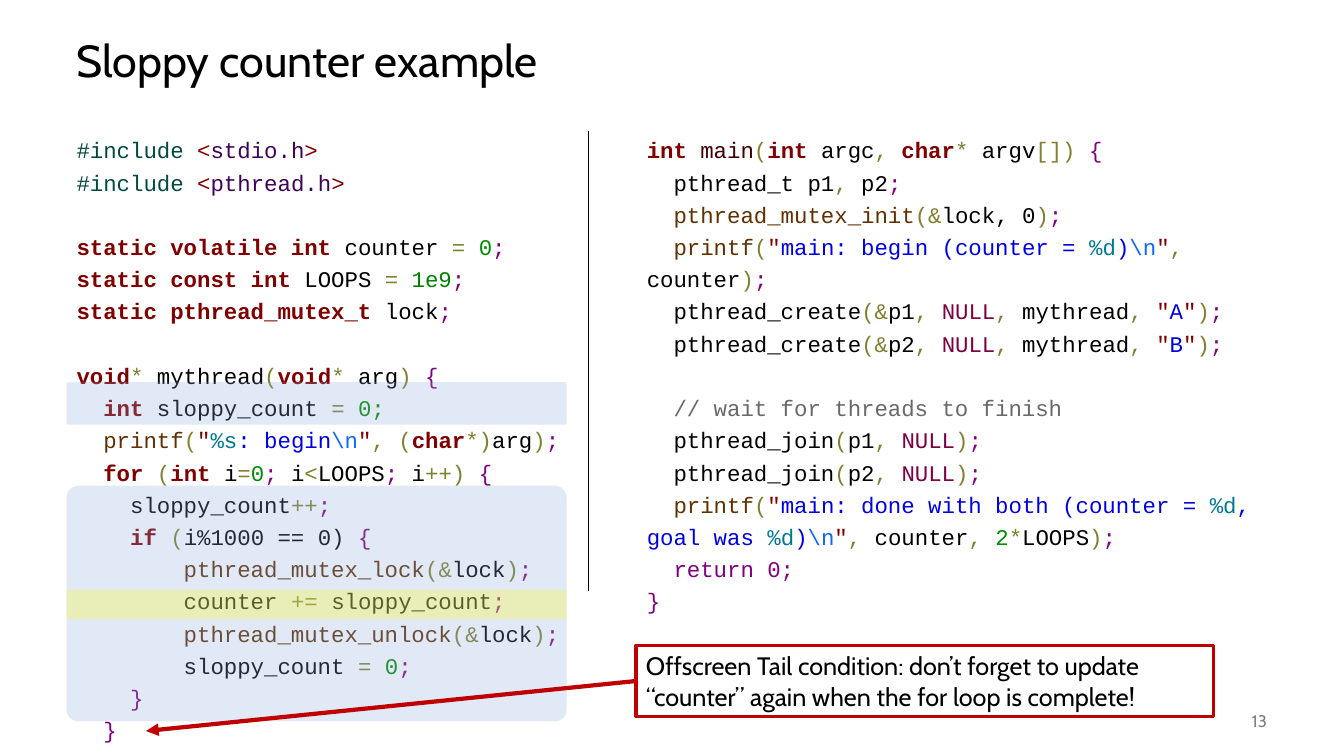
from lxml import etree
from pptx import Presentation
from pptx.dml.color import RGBColor
from pptx.enum.shapes import MSO_CONNECTOR, MSO_SHAPE
from pptx.enum.text import MSO_ANCHOR, PP_ALIGN
from pptx.oxml.ns import qn
from pptx.util import Cm, Pt

STRAIGHT = MSO_CONNECTOR.STRAIGHT
RECTANGLE, ROUNDED = MSO_SHAPE.RECTANGLE, MSO_SHAPE.ROUNDED_RECTANGLE
TOP, MIDDLE = MSO_ANCHOR.TOP, MSO_ANCHOR.MIDDLE
LEFT, RIGHT = PP_ALIGN.LEFT, PP_ALIGN.RIGHT

MAROON = RGBColor(0x80, 0x00, 0x00)
BLACK = RGBColor(0x00, 0x00, 0x00)
GRAY = RGBColor(0x80, 0x80, 0x80)
RED = RGBColor(0xC0, 0x00, 0x00)
WHITE = RGBColor(0xFF, 0xFF, 0xFF)
BLUE = RGBColor(0x8F, 0xAA, 0xDC)
YELLOW = RGBColor(0xFF, 0xFC, 0x00)

KEYWORD = (MAROON, True)
DELIMITER = (MAROON, False)
NAME = (BLACK, False)
DIRECTIVE = (RGBColor(0x00, 0x4A, 0x43), False)
HEADER = (RGBColor(0x40, 0x01, 0x5A), False)
OPERATOR = (RGBColor(0x80, 0x80, 0x30), False)
NUMBER = (RGBColor(0x00, 0x8C, 0x00), False)
EXPONENT = (RGBColor(0x00, 0x80, 0x00), False)
PUNCTUATION = (RGBColor(0x80, 0x00, 0x80), False)
LIBRARY = (RGBColor(0x60, 0x30, 0x00), False)
ENTRY = (RGBColor(0x40, 0x00, 0x00), False)
FORMAT = (RGBColor(0x00, 0x79, 0x97), False)
STRING = (RGBColor(0x00, 0x00, 0xE6), False)
ESCAPE = (RGBColor(0x0F, 0x69, 0xFF), False)
MACRO = (RGBColor(0x7D, 0x00, 0x45), False)
COMMENT = (RGBColor(0x69, 0x69, 0x69), False)

SEMICOLON = (";", PUNCTUATION)
BRACE = ("{", PUNCTUATION)
QUOTE = ('"', DELIMITER)
OPEN, CLOSE = ("(", OPERATOR), (")", OPERATOR)
COMMA = (", ", OPERATOR)
EQUALS = ("= ", OPERATOR)
NULL = ("NULL", MACRO)
NEWLINE = ("\\n", ESCAPE)
DECIMAL = ("%d", FORMAT)
INT = ("int ", KEYWORD)
VOID = [("void", KEYWORD), ("* ", OPERATOR)]
END = [CLOSE, SEMICOLON]


def include(header):
    return [("#include ", DIRECTIVE), ("<", DELIMITER), (header, HEADER), (">", DELIMITER)]


def mutex_call(indent, function, argument):
    return [(indent + function, LIBRARY), ("(&", OPERATOR), (argument, NAME), *END]


def create(thread, label):
    return [("  pthread_create", NAME), ("(&", OPERATOR), (thread, NAME), COMMA, NULL, COMMA,
            ("mythread", NAME), COMMA, QUOTE, (label, STRING), QUOTE, *END]


def join(thread):
    return [("  pthread_join", NAME), OPEN, (thread, NAME), COMMA, NULL, *END]


THREAD_CODE = [
    [include("stdio.h"), include("pthread.h")],
    [
        [("static volatile int", KEYWORD), (" counter ", NAME), EQUALS, ("0", NUMBER), SEMICOLON],
        [("static const int", KEYWORD), (" LOOPS ", NAME), EQUALS, ("1e9", EXPONENT), SEMICOLON],
        [("static pthread_mutex_t", KEYWORD), (" lock", NAME), SEMICOLON],
    ],
    [
        [*VOID, ("mythread", NAME), OPEN, *VOID, ("arg", NAME), (") ", OPERATOR), BRACE],
        [("  int ", KEYWORD), ("sloppy_count ", NAME), EQUALS, ("0;", NUMBER)],
        [("  printf", LIBRARY), OPEN, QUOTE, ("%s", FORMAT), (": begin", STRING), NEWLINE, QUOTE,
         (", (", OPERATOR), ("char", KEYWORD), ("*)", OPERATOR), ("arg", NAME), *END],
        [("  for ", KEYWORD), OPEN, INT, ("i", NAME), ("=", OPERATOR), ("0", NUMBER),
         ("; ", PUNCTUATION), ("i", NAME), ("<", OPERATOR), ("LOOPS", NAME),
         ("; ", PUNCTUATION), ("i", NAME), ("++) ", OPERATOR), BRACE],
        [("    sloppy_count", NAME), ("++", OPERATOR), SEMICOLON],
        [("    if ", KEYWORD), OPEN, ("i%1000 == 0) ", NAME), BRACE],
        mutex_call("        ", "pthread_mutex_lock", "lock"),
        [("        counter ", NAME), ("+= ", OPERATOR), ("sloppy_count", NAME), SEMICOLON],
        mutex_call("        ", "pthread_mutex_unlock", "lock"),
        [("        sloppy_count", NAME), (" = ", OPERATOR), ("0", NUMBER), SEMICOLON],
        [("    }", PUNCTUATION)],
        [("  }", PUNCTUATION)],
    ],
]
MAIN_CODE = [
    [
        [INT, ("main", ENTRY), OPEN, INT, ("argc", NAME), COMMA, ("char", KEYWORD),
         ("* ", OPERATOR), ("argv", NAME), ("[]) ", OPERATOR), BRACE],
        [("  pthread_t p1", NAME), (",", OPERATOR), (" p2", NAME), SEMICOLON],
        mutex_call("  ", "pthread_mutex_init", "lock, 0"),
        [("  printf", LIBRARY), OPEN, QUOTE, ("main: begin (counter = ", STRING), DECIMAL,
         (")", STRING), NEWLINE, QUOTE, COMMA, ("counter", NAME), *END],
        create("p1", "A"),
        create("p2", "B"),
    ],
    [
        [("  // wait for threads to finish", COMMENT)],
        join("p1"),
        join("p2"),
        [("  printf", LIBRARY), OPEN, QUOTE, ("main: done with both (counter = ", STRING), DECIMAL,
         (", goal was ", STRING), DECIMAL, (")", STRING), NEWLINE, QUOTE, COMMA,
         ("counter", NAME), COMMA, ("2", NUMBER), ("*", OPERATOR), ("LOOPS", NAME), *END],
        [("  return 0;", PUNCTUATION)],
        [("}", PUNCTUATION)],
    ],
]
TITLE = "Sloppy counter example"
PAGE_NUMBER = "13"
WARNING = ("Offscreen Tail condition: don’t forget to update "
           "“counter” again when the for loop is complete!")
CODE_TOP, CODE_HEIGHT = 3.18, 13.97
CODE_COLUMNS = [(1.68, 14.61, THREAD_CODE), (16.05, 16.13, MAIN_CODE)]
BLANK_LINE = Pt(23)
HIGHLIGHT_LEFT, HIGHLIGHT_WIDTH = 1.68, 12.6
HIGHLIGHTS = [(12.24, 5.94, BLUE), (9.63, 1.07, BLUE), (14.86, 0.74, YELLOW)]


def add_run(paragraph, text, font, size, color, bold=False):
    run = paragraph.add_run()
    run.text = text
    run.font.name, run.font.size, run.font.bold = font, Pt(size), bold
    run.font.color.rgb = color


def add_box(left, top, width, height, anchor):
    frame = slide.shapes.add_textbox(Cm(left), Cm(top), Cm(width), Cm(height)).text_frame
    frame.word_wrap = True
    frame.vertical_anchor = anchor
    return frame


def add_label(frame, text, size, color, alignment=LEFT, spacing=1.0):
    paragraph = frame.paragraphs[0]
    paragraph.alignment, paragraph.line_spacing = alignment, spacing
    add_run(paragraph, text, "Cabin", size, color)


def add_code(left, width, blocks):
    frame = add_box(left, CODE_TOP, width, CODE_HEIGHT, TOP)
    for block_index, block in enumerate(blocks):
        for line_index, line in enumerate(block):
            first = block_index == line_index == 0
            paragraph = frame.paragraphs[0] if first else frame.add_paragraph()
            paragraph.line_spacing = 1.2
            if block_index and not line_index:
                paragraph.space_before = BLANK_LINE
            for text, (color, bold) in line:
                add_run(paragraph, text, "Courier New", 16, color, bold)


def add_line(start, end, color, width):
    connector = slide.shapes.add_connector(STRAIGHT, *(Cm(value) for value in start + end))
    connector.line.color.rgb, connector.line.width = color, Pt(width)
    etree.SubElement(connector._element.spPr, qn("a:effectLst"))
    return connector


def add_panel(kind, left, top, width, height, color):
    shape = slide.shapes.add_shape(kind, Cm(left), Cm(top), Cm(width), Cm(height))
    shape.shadow.inherit = False
    shape.fill.solid()
    shape.fill.fore_color.rgb = color
    return shape


presentation = Presentation()
presentation.slide_width, presentation.slide_height = Cm(33.87), Cm(19.05)
slide = presentation.slides.add_slide(presentation.slide_layouts[6])

add_label(add_box(1.68, 0.64, 30.48, 1.91, MIDDLE), TITLE, 32, BLACK, spacing=0.9)
for column in CODE_COLUMNS:
    add_code(*column)
add_line((14.83, 3.3), (14.83, 14.88), BLACK, 0.5)
add_label(add_box(29.64, 17.65, 2.54, 1.02, MIDDLE), PAGE_NUMBER, 12, GRAY, RIGHT)

for top, height, color in HIGHLIGHTS:
    highlight = add_panel(ROUNDED, HIGHLIGHT_LEFT, top, HIGHLIGHT_WIDTH, height, color)
    highlight.adjustments[0] = 0.05
    highlight.line.fill.background()
    tint = highlight.fill._xPr.find(qn("a:solidFill"))[0]
    etree.SubElement(tint, qn("a:alpha"), val="25000")

callout = add_panel(RECTANGLE, 16.03, 16.26, 14.55, 1.8, WHITE)
callout.line.color.rgb, callout.line.width = RED, Pt(2.25)
callout.text_frame.word_wrap = True
add_label(callout.text_frame, WARNING, 18, BLACK)

arrow = add_line((16.03, 17.16), (3.68, 18.42), RED, 3)
arrow.begin_connect(callout, 1)
etree.SubElement(arrow.line._get_or_add_ln(), qn("a:tailEnd"), type="triangle")

presentation.save("out.pptx")
